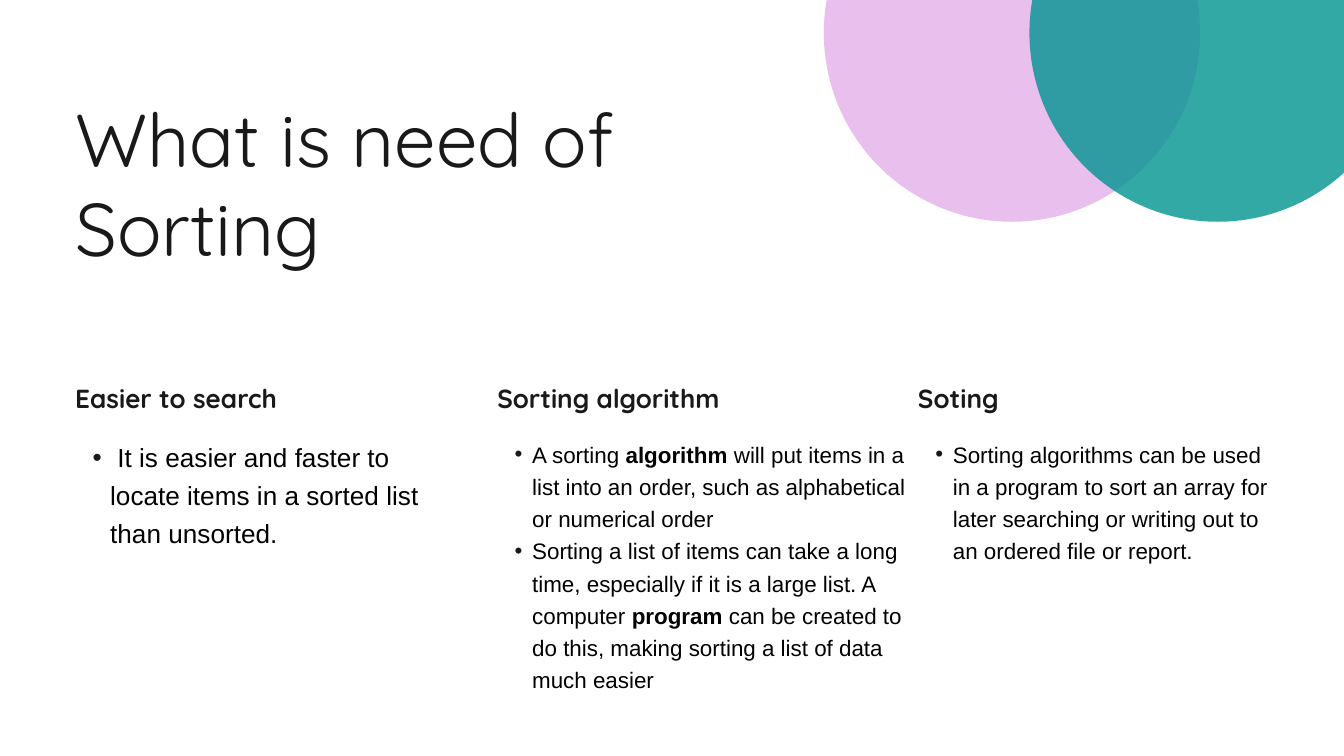
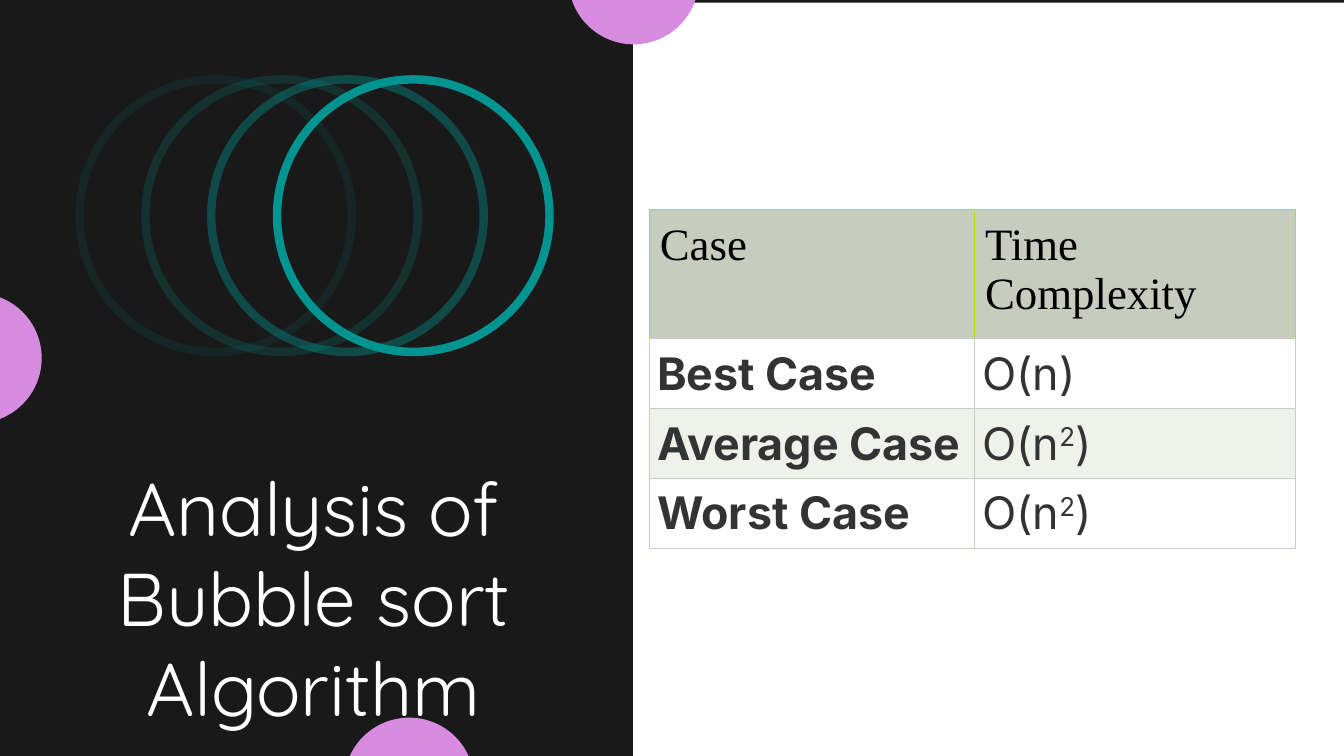
import dataclasses

import pptx
import pptx.dml.color
import pptx.enum.shapes
import pptx.enum.text
import pptx.oxml
import pptx.oxml.ns
import pptx.util

Inches = pptx.util.Inches
Pt = pptx.util.Pt
RGBColor = pptx.dml.color.RGBColor
Shape = pptx.enum.shapes.MSO_SHAPE
Align = pptx.enum.text.PP_ALIGN

# Shared colours and fonts
INK = RGBColor(0x19, 0x19, 0x19)
WHITE = RGBColor(0xFF, 0xFF, 0xFF)
BLACK = RGBColor(0x00, 0x00, 0x00)
TEAL = RGBColor(0x00, 0x94, 0x90)
PINK = RGBColor(0xE8, 0xBF, 0xED)
ORCHID = RGBColor(0xD8, 0x8C, 0xE1)
GREY = RGBColor(0x33, 0x33, 0x33)
SAGE = RGBColor(0xC7, 0xCC, 0xBE)
MIST = RGBColor(0xEF, 0xF1, 0xEB)
LIME = RGBColor(0xA0, 0xEA, 0x08)
HEAD_FONT = "Quicksand"
BODY_FONT = "Arial"
MARGIN = 0.56


@dataclasses.dataclass(frozen=True)
class Style:
    font: str
    size: float
    color: RGBColor
    bold: bool = False
    align: Align = Align.LEFT
    lead: float | None = None
    bullet: bool = False


@dataclasses.dataclass(frozen=True)
class Column:
    left: float
    width: float
    height: float
    head: str
    size: float
    items: tuple[str, ...]


@dataclasses.dataclass(frozen=True)
class Disc:
    left: float
    top: float
    width: float
    height: float
    color: RGBColor
    alpha: int = 100


TITLE = Style(HEAD_FONT, 40, INK)
HEAD = Style(HEAD_FONT, 14, INK, bold=True, lead=1.2)

# Asterisks enclose bold words
COLUMNS = (
    Column(MARGIN, 2.61, 0.85, "Easier to search", 14, (
        " It is easier and faster to locate items in a sorted list than unsorted.",)),
    Column(3.7, 3.05, 2.67, "Sorting algorithm", 12, (
        "A sorting *algorithm* will put items in a list into an order, "
        "such as alphabetical or numerical order",
        "Sorting a list of items can take a long time, especially if it is a large list. "
        "A computer *program* can be created to do this, "
        "making sorting a list of data much easier")),
    Column(6.83, 2.61, 0.97, "Soting", 12, (
        "Sorting algorithms can be used in a program to sort an array for later "
        "searching or writing out to an ordered file or report.",)),
)
CORNER = (
    Disc(6.13, -1.16, 2.8, 2.81, PINK),
    Disc(7.66, -1.16, 2.8, 2.81, TEAL, 80),
)
DOTS = tuple(Disc(left, top, 0.97, 0.97, ORCHID)
             for left, top in ((4.23, -0.64), (-0.66, 2.18), (2.56, 5.34)))

# Asterisks enclose superscripts
CASES = (("Best Case", "O(n)"), ("Average Case", "O(n*2*)"), ("Worst Case", "O(n*2*)"))


def add_fill(shape, color: RGBColor, alpha: int = 100) -> None:
    shape.shadow.inherit = False
    shape.fill.solid()
    shape.fill.fore_color.rgb = color
    shape.line.fill.background()
    if alpha < 100:
        tint = shape.element.xpath("./p:spPr/a:solidFill/a:srgbClr")[0]
        node = pptx.oxml.parse_xml(
            f'<a:alpha {pptx.oxml.ns.nsdecls("a")} val="{alpha * 1000}"/>')
        tint.append(node)


def add_disc(slide, disc: Disc) -> None:
    shape = slide.shapes.add_shape(
        Shape.OVAL, Inches(disc.left), Inches(disc.top),
        Inches(disc.width), Inches(disc.height))
    add_fill(shape, disc.color, disc.alpha)


def add_bullet(para) -> None:
    props = para._p.get_or_add_pPr()
    props.set("marL", str(Inches(0.26)))
    props.set("indent", str(Inches(-0.13)))
    space = pptx.oxml.ns.nsdecls("a")
    for xml in (f'<a:buClr {space}><a:srgbClr val="{INK}"/></a:buClr>',
                f'<a:buFont {space} typeface="Arial"/>',
                f'<a:buChar {space} char="•"/>'):
        props.append(pptx.oxml.parse_xml(xml))


def set_para(para, text: str, style: Style, raised: bool = False) -> None:
    para.alignment = style.align
    if style.lead:
        para.line_spacing = style.lead
    if style.bullet:
        para.level = 1
        add_bullet(para)
    font = para.font
    font.name, font.size, font.bold = style.font, Pt(style.size), style.bold
    font.color.rgb = style.color
    for index, part in enumerate(text.split("*")):
        run = para.add_run()
        run.text = part
        if index % 2 and raised:
            run._r.get_or_add_rPr().set("baseline", "30000")
        elif index % 2:
            run.font.bold = True


def add_text(slide, left: float, top: float, width: float, height: float,
             texts: tuple[str, ...], style: Style) -> None:
    box = slide.shapes.add_textbox(
        Inches(left), Inches(top), Inches(width), Inches(height))
    frame = box.text_frame
    frame.word_wrap = True
    frame.auto_size = pptx.enum.text.MSO_AUTO_SIZE.SHAPE_TO_FIT_TEXT
    frame.margin_left = frame.margin_right = Inches(0)
    frame.margin_top = frame.margin_bottom = Inches(0)
    for index, text in enumerate(texts):
        para = frame.add_paragraph() if index else frame.paragraphs[0]
        set_para(para, text, style)


def set_cell(cell, text: str, style: Style, fill: RGBColor, inset: float,
             edge: RGBColor) -> None:
    cell.margin_left = cell.margin_right = Inches(inset)
    cell.margin_top = cell.margin_bottom = Inches(inset)
    set_para(cell.text_frame.paragraphs[0], text, style, raised=True)
    cell.fill.solid()
    cell.fill.fore_color.rgb = fill
    props = cell._tc.get_or_add_tcPr()
    for index, side in enumerate("LRTB"):
        color = SAGE if side == "B" else edge
        props.insert(index, pptx.oxml.parse_xml(
            f'<a:ln{side} {pptx.oxml.ns.nsdecls("a")} w="{Pt(0.5)}"><a:solidFill>'
            f'<a:srgbClr val="{color}"/></a:solidFill></a:ln{side}>'))


def add_cases(slide) -> None:
    table = slide.shapes.add_table(
        len(CASES) + 1, 2, Inches(4.83), Inches(1.56), Inches(4.81), Inches(2.5)).table
    table.first_row = table.horz_banding = False
    for col, width in zip(table.columns, (2.42, 2.39)):
        col.width = Inches(width)
    for index, row in enumerate(table.rows):
        row.height = Inches(0.51 if index else 0.96)
    head = Style("Times New Roman", 24, BLACK)
    for col, text in enumerate(("Case", "Time Complexity")):
        set_cell(table.cell(0, col), text, head, SAGE, 0.08, LIME)
    for row, texts in enumerate(CASES, 1):
        fill = WHITE if row % 2 else MIST
        for col, text in enumerate(texts):
            style = Style("Inter", 24, GREY, bold=col == 0, align=Align.JUSTIFY)
            set_cell(table.cell(row, col), text, style, fill, 0.06, SAGE)


def add_slide(deck, color: RGBColor):
    slide = deck.slides.add_slide(deck.slide_layouts[6])
    slide.background.fill.solid()
    slide.background.fill.fore_color.rgb = color
    return slide


def build_need(deck) -> None:
    slide = add_slide(deck, WHITE)
    add_text(slide, MARGIN, 0.69, 4.9, 1.35, ("What is need of Sorting",), TITLE)
    for col in COLUMNS:
        body = Style(BODY_FONT, col.size, BLACK, lead=1.2, bullet=True)
        add_text(slide, col.left, 3.24, col.width, col.height, col.items, body)
        add_text(slide, col.left, 2.8, col.width, 0.28, (col.head,), HEAD)
    for disc in CORNER:
        add_disc(slide, disc)


def build_cases(deck) -> None:
    slide = add_slide(deck, INK)
    # Rings fade in from left to right
    for index, alpha in enumerate((10, 20, 40, 100)):
        ring = slide.shapes.add_shape(
            Shape.DONUT, Inches(MARGIN + 0.49 * index), Inches(MARGIN),
            Inches(2.09), Inches(2.09))
        ring.adjustments[0] = 0.03
        add_fill(ring, TEAL, alpha)
    panel = slide.shapes.add_shape(
        Shape.RECTANGLE, Inches(4.71), Inches(0.02), Inches(5.29), Inches(5.62))
    add_fill(panel, WHITE)
    title = dataclasses.replace(TITLE, color=WHITE, align=Align.CENTER)
    add_text(slide, MARGIN, 3.44, 3.55, 2.02,
             ("Analysis of Bubble sort Algorithm",), title)
    for dot in DOTS:
        add_disc(slide, dot)
    add_cases(slide)


def main() -> None:
    deck = pptx.Presentation()
    # Widescreen, 16 by 9
    deck.slide_width = Inches(10)
    deck.slide_height = Inches(10 * 9 / 16)
    build_need(deck)
    build_cases(deck)
    deck.save("out.pptx")


if __name__ == "__main__":
    main()
